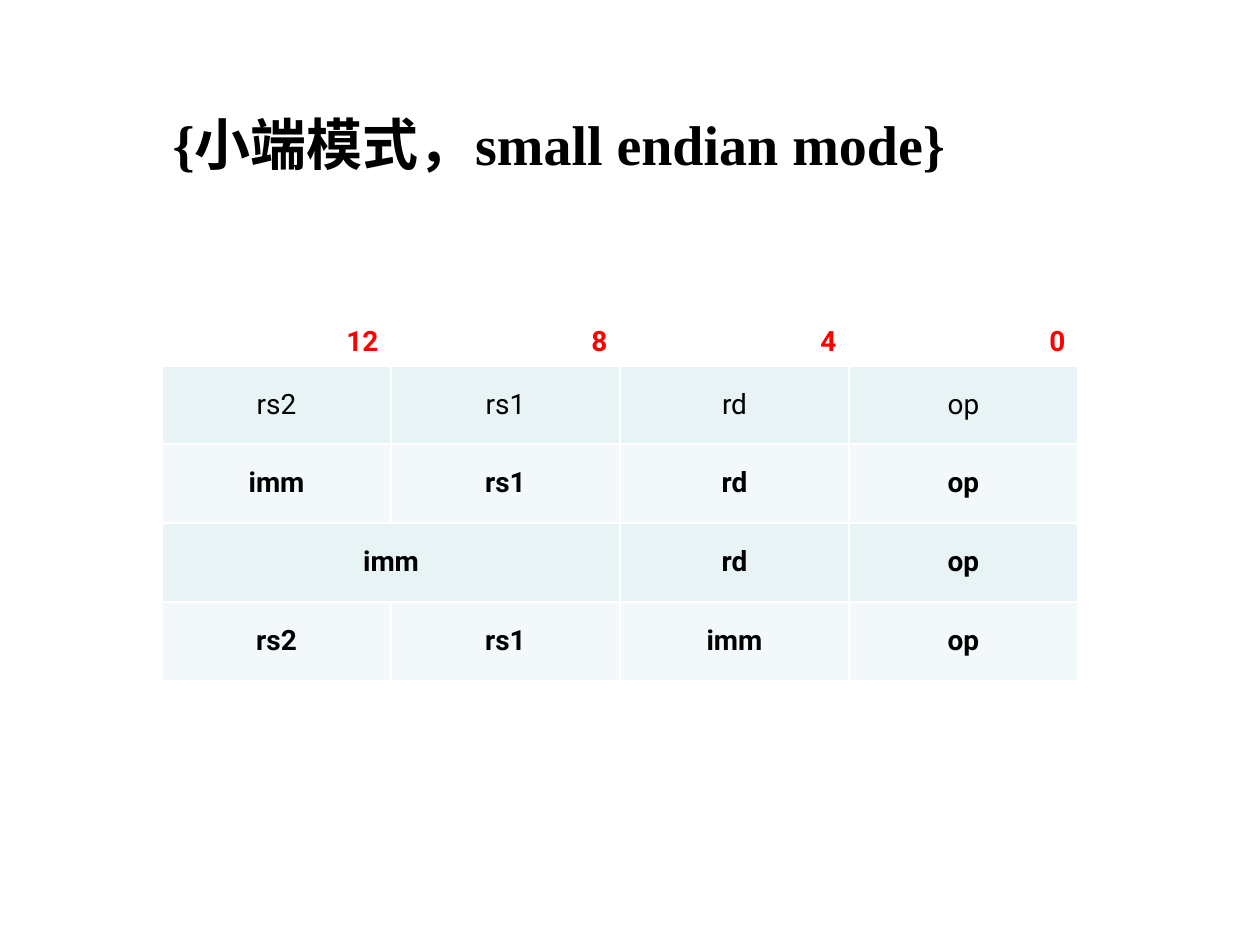
import pptx
import pptx.dml.color
import pptx.enum.text
import pptx.oxml.ns
import pptx.util
from lxml import etree

EMU_PER_PX = 914400 / 126
ALIGN = pptx.enum.text.PP_ALIGN
ANCHOR = pptx.enum.text.MSO_ANCHOR
LATIN, CJK, TABLE_FONT = "Times New Roman", "Noto Sans CJK SC", "Roboto"
BLACK, RED, WHITE = "000000", "FF0000", "FFFFFF"
BANDS = ("E7F3F4", "F3F9FA")

BIT_OFFSETS = ("12", "8", "4", "0")
# None continues the field on its left.
FORMATS = (
    ("rs2", "rs1", "rd", "op"),
    ("imm", "rs1", "rd", "op"),
    ("imm", None, "rd", "op"),
    ("rs2", "rs1", "imm", "op"),
)


def px(length):
    return pptx.util.Emu(round(length * EMU_PER_PX))


def rgb(colour):
    return pptx.dml.color.RGBColor.from_string(colour)


def apply(target, values):
    """Set each named attribute of target."""
    for name, value in values.items():
        setattr(target, name, value)


def add_run(paragraph, text, typeface, size, colour, bold=True):
    run = paragraph.add_run()
    run.text = text
    apply(run.font, {"name": typeface, "size": pptx.util.Pt(size), "bold": bold})
    run.font.color.rgb = rgb(colour)
    east_asian = etree.SubElement(run.font._element, pptx.oxml.ns.qn("a:ea"))
    east_asian.set("typeface", typeface)


def set_borders(cell, colour, bottom_width):
    properties = cell._tc.get_or_add_tcPr()
    widths = {"lnL": 1, "lnR": 1, "lnT": 1, "lnB": bottom_width}
    for position, (side, width) in enumerate(widths.items()):
        line = etree.Element(pptx.oxml.ns.qn(f"a:{side}"), w=str(pptx.util.Pt(width)))
        fill = etree.SubElement(line, pptx.oxml.ns.qn("a:solidFill"))
        etree.SubElement(fill, pptx.oxml.ns.qn("a:srgbClr"), val=colour)
        properties.insert(position, line)


def fill_title(title):
    apply(title, {"left": px(123), "top": px(135), "width": px(1056), "height": px(129)})
    apply(title.text_frame, {
        "word_wrap": True,
        "auto_size": pptx.enum.text.MSO_AUTO_SIZE.NONE,
        "vertical_anchor": ANCHOR.TOP,
    })
    heading = title.text_frame.paragraphs[0]
    apply(heading, {"alignment": ALIGN.JUSTIFY, "line_spacing": pptx.util.Pt(20)})
    heading._p.get_or_add_pPr().set("indent", str(px(37)))
    for text, typeface in (("{", LATIN), ("小端模式，", CJK), ("small endian mode}", LATIN)):
        add_run(heading, text, typeface, 32, BLACK)


def fill_cell(cell, text, alignment, colour, bold, band=None):
    cell.vertical_anchor = ANCHOR.MIDDLE
    if band:
        cell.fill.solid()
        cell.fill.fore_color.rgb = rgb(band)
    else:
        cell.fill.background()
    set_borders(cell, WHITE, 1 if band else 3)
    if text:
        label = cell.text_frame.paragraphs[0]
        label.alignment = alignment
        add_run(label, text, TABLE_FONT, 16, colour, bold)


def add_format_table(slide):
    """Instruction formats under a row of bit offsets."""
    columns, header_height, row_height = len(BIT_OFFSETS), 47, 79
    height = header_height + row_height * len(FORMATS)
    table = slide.shapes.add_table(
        len(FORMATS) + 1, columns, px(162), px(318), px(229 * columns), px(height)
    ).table
    apply(table, {"first_row": False, "horz_banding": False})
    for index, row in enumerate(table.rows):
        row.height = px(row_height if index else header_height)

    for column, offset in enumerate(BIT_OFFSETS):
        fill_cell(table.cell(0, column), offset, ALIGN.RIGHT, RED, True)
    for row, fields in enumerate(FORMATS, start=1):
        for column, field in enumerate(fields):
            cell = table.cell(row, column)
            fill_cell(cell, field, ALIGN.CENTER, BLACK, row > 1, BANDS[(row - 1) % 2])
            if field is None:
                table.cell(row, column - 1).merge(cell)


def main():
    presentation = pptx.Presentation()
    apply(presentation, {"slide_width": px(1260), "slide_height": px(945)})
    slide = presentation.slides.add_slide(presentation.slide_layouts.get_by_name("Title Only"))
    fill_title(slide.shapes.title)
    add_format_table(slide)
    presentation.save("out.pptx")


if __name__ == "__main__":
    main()
